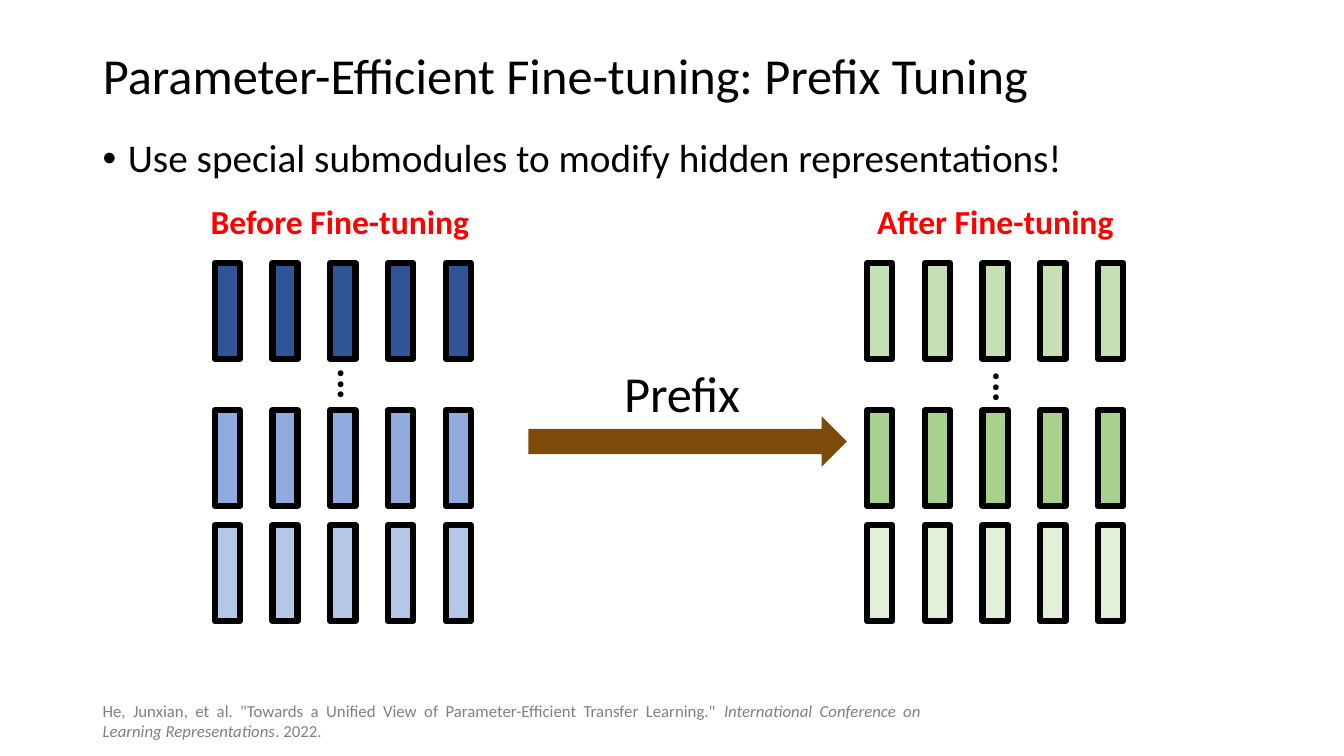
from lxml import etree
from pptx import Presentation
from pptx.dml.color import RGBColor
from pptx.enum.shapes import MSO_SHAPE as Shape
from pptx.enum.text import MSO_ANCHOR as Anchor, MSO_AUTO_SIZE as AutoSize, PP_ALIGN as Align
from pptx.oxml.ns import qn
from pptx.util import Inches, Pt

BLACK = RGBColor(0x00, 0x00, 0x00)
RED = RGBColor(0xFF, 0x00, 0x00)
GRAY = RGBColor(0x80, 0x80, 0x80)
BROWN = RGBColor(0x7D, 0x4B, 0x09)
DARK_BLUE = RGBColor(0x2F, 0x55, 0x97)
MID_BLUE = RGBColor(0x8F, 0xAA, 0xDC)
PALE_BLUE = RGBColor(0xB4, 0xC7, 0xE7)
LIGHT_GREEN = RGBColor(0xC5, 0xE0, 0xB4)
MID_GREEN = RGBColor(0xA9, 0xD1, 0x8E)
PALE_GREEN = RGBColor(0xE2, 0xF0, 0xD9)

ROW_TOPS = (2.96, 4.42, 5.56)
BARS_PER_ROW = 5
BAR_STEP = 2.29 / (BARS_PER_ROW - 1)
BAR_LENGTH, BAR_THICKNESS = 0.95, 0.25


class SlideBuilder:
    """Holds the font and the current slide."""

    def __init__(self, slide, font="Calibri"):
        self.slide = slide
        self.font = font

    def add_runs(self, frame, runs, size, color=BLACK, bold=False, align=Align.LEFT):
        """Fill the first paragraph with (text, italic) runs."""
        paragraph = frame.paragraphs[0]
        paragraph.alignment = align
        for text, italic in runs:
            run = paragraph.add_run()
            run.text = text
            run.font.name = self.font
            run.font.size = Pt(size)
            run.font.bold = bold
            run.font.italic = italic
            run.font.color.rgb = color
        return paragraph

    def title(self, text, box, size):
        heading = self.slide.shapes.title
        heading.left, heading.top, heading.width, heading.height = map(Inches, box)
        frame = heading.text_frame
        frame.vertical_anchor = Anchor.MIDDLE
        frame.auto_size = AutoSize.NONE
        self.add_runs(frame, [(text, False)], size).line_spacing = 0.9

    def text(self, runs, box, size, anchor=Anchor.TOP, grow=True, rotation=0, **style):
        label = self.slide.shapes.add_textbox(*map(Inches, box))
        label.rotation = rotation
        frame = label.text_frame
        frame.word_wrap = True
        frame.auto_size = AutoSize.SHAPE_TO_FIT_TEXT if grow else AutoSize.NONE
        frame.vertical_anchor = anchor
        return self.add_runs(frame, runs, size, **style)

    def bullet(self, text, box, size):
        paragraph = self.text([(text, False)], box, size, grow=False, align=Align.JUSTIFY)
        paragraph.line_spacing = 0.9
        properties = paragraph._p.get_or_add_pPr()
        properties.set("marL", str(Inches(0.25)))
        properties.set("indent", str(Inches(-0.25)))
        etree.SubElement(properties, qn("a:buFont")).set("typeface", "Arial")
        etree.SubElement(properties, qn("a:buChar")).set("char", "•")

    def shape(self, kind, box, fill, shapes=None):
        """Add a filled shape without outline, to the slide or to a group."""
        shape = (shapes or self.slide.shapes).add_shape(kind, *map(Inches, box))
        shape.shadow.inherit = False
        shape.fill.solid()
        shape.fill.fore_color.rgb = fill
        shape.line.fill.background()
        return shape

    def bar_row(self, left, top, fill):
        """Group one row of upright bars, one per hidden representation."""
        row = self.slide.shapes.add_group_shape().shapes
        for i in range(BARS_PER_ROW):
            box = (left + i * BAR_STEP, top, BAR_LENGTH, BAR_THICKNESS)
            # An empty shape collection is falsy, so the first bar needs the row itself
            bar = self.shape(Shape.RECTANGLE, box, fill, row) if len(row) else self.first_bar(row, box, fill)
            bar.rotation = 270
            bar.line.color.rgb = BLACK
            bar.line.width = Pt(4.5)

    def first_bar(self, row, box, fill):
        bar = row.add_shape(Shape.RECTANGLE, *map(Inches, box))
        bar.shadow.inherit = False
        bar.fill.solid()
        bar.fill.fore_color.rgb = fill
        return bar

    def stack(self, heading, heading_left, bars_left, dots_at, fills):
        """Draw the layers of one model with its heading and ellipsis."""
        for top, fill in zip(ROW_TOPS, fills):
            self.bar_row(bars_left, top, fill)
        self.text([("...", False)], (*dots_at, 0.51, 0.57), 28, rotation=90, bold=True)
        self.text([(heading, False)], (heading_left, 1.94, 2.82, 0.5), 24,
                  color=RED, bold=True)


def main():
    deck = Presentation()
    deck.slide_width, deck.slide_height = Inches(13.33), Inches(7.5)
    builder = SlideBuilder(deck.slides.add_slide(deck.slide_layouts[5]))

    # Title and main point
    builder.title("Parameter-Efficient Fine-tuning: Prefix Tuning", (0.92, 0.4, 11.5, 0.75), 36)
    builder.bullet("Use special submodules to modify hidden representations!",
                   (0.92, 1.33, 11.49, 5.42), 28)

    # Hidden representations before and after
    builder.stack("Before Fine-tuning", 1.99, 1.78, (3.25, 3.53),
                  (DARK_BLUE, MID_BLUE, PALE_BLUE))
    builder.stack("After Fine-tuning", 8.6, 8.25, (9.75, 3.56),
                  (LIGHT_GREEN, MID_GREEN, PALE_GREEN))

    # Prefix arrow
    builder.shape(Shape.RIGHT_ARROW, (5.24, 4.13, 3.16, 0.5), BROWN)
    builder.text([("Prefix", False)], (5.57, 3.54, 2.39, 0.71), 36, align=Align.CENTER)

    # Citation
    citation = [
        ('He, Junxian, et al. "Towards a Unified View of Parameter-Efficient '
         'Transfer Learning." ', False),
        ("International Conference on Learning Representations", True),
        (". 2022.", False),
    ]
    builder.text(citation, (0.92, 6.95, 8.31, 0.4), 12, anchor=Anchor.MIDDLE,
                 grow=False, color=GRAY, align=Align.JUSTIFY)

    deck.save("out.pptx")


if __name__ == "__main__":
    main()
